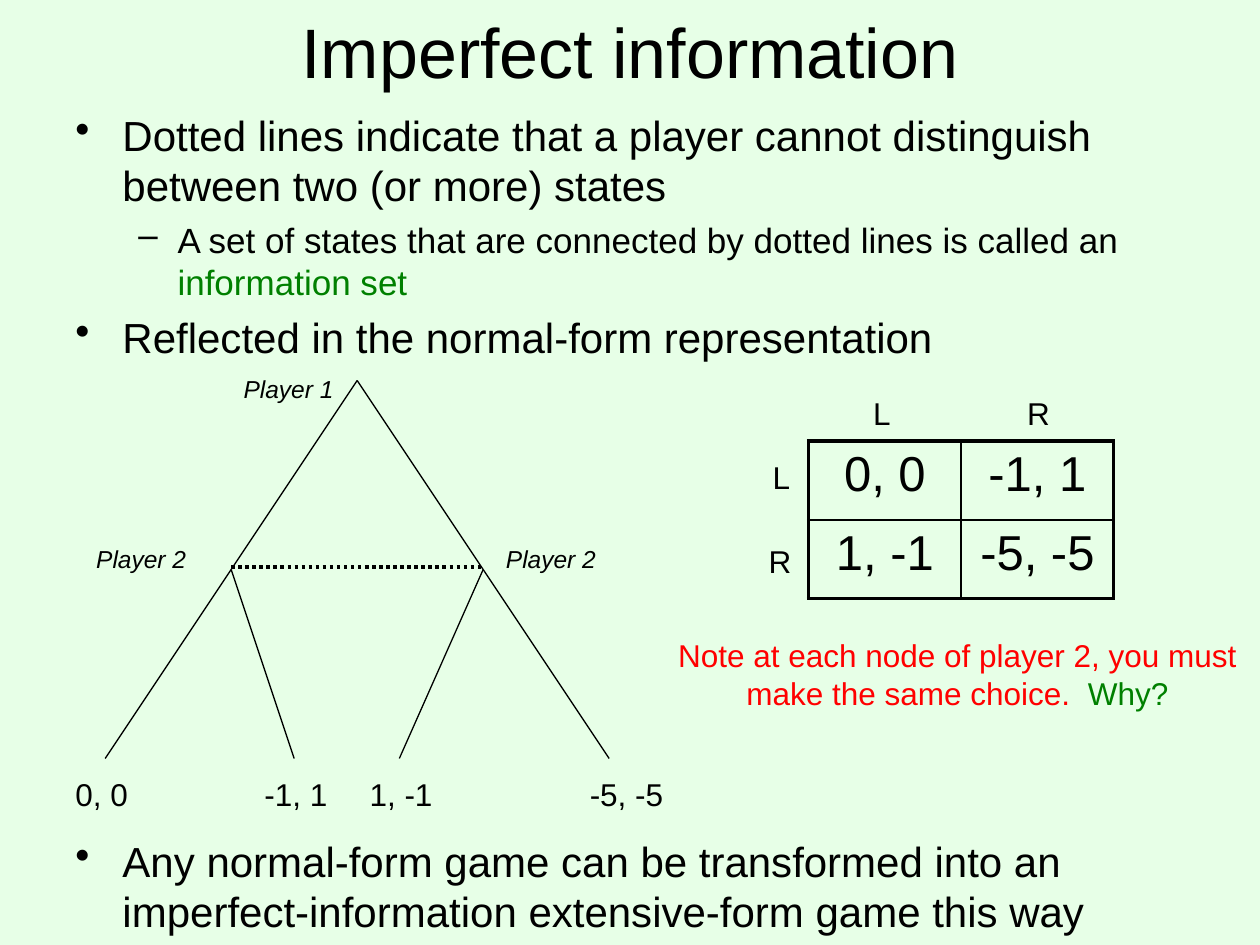
from typing import NamedTuple

from lxml import etree
from pptx import Presentation
from pptx.dml.color import RGBColor
from pptx.enum.dml import MSO_LINE
from pptx.enum.shapes import MSO_CONNECTOR
from pptx.enum.text import MSO_ANCHOR, PP_ALIGN
from pptx.oxml.ns import qn
from pptx.util import Cm, Pt

STRAIGHT = MSO_CONNECTOR.STRAIGHT
DOTTED = MSO_LINE.ROUND_DOT
LEFT, CENTER = PP_ALIGN.LEFT, PP_ALIGN.CENTER
MIDDLE = MSO_ANCHOR.MIDDLE
FONT = "Arial"
COLORS = {"background": "E7FFE7", "black": "000000", "green": "008000", "red": "FF0000"}


class Run(NamedTuple):
    text: str
    color: str = "black"


class Box(NamedTuple):
    """Position and size in centimetres."""
    left: float
    top: float
    width: float
    height: float


class Label(NamedTuple):
    box: Box
    lines: list
    size: int = 18
    italic: bool = False
    centered: bool = False


class Level(NamedTuple):
    """Bullet character, text size, and indents in centimetres."""
    bullet: str
    size: int
    margin: float
    hanging: float


class Bullet(NamedTuple):
    level: Level
    runs: list


class Edge(NamedTuple):
    start: tuple
    end: tuple
    width: float = 0.75
    dash: object = None


MAIN = Level("•", 24, 0.95, 0.95)
SUB = Level("–", 20, 2.06, 0.79)

BULLET_BOXES = [
    (Box(1.27, 2.08, 23.3, 3.6), [
        Bullet(MAIN, [Run("Dotted lines indicate that a player cannot distinguish "
                          "between two (or more) states")]),
        Bullet(SUB, [Run("A set of states that are connected by dotted lines is called an "),
                     Run("information set", "green")]),
        Bullet(MAIN, [Run("Reflected in the normal-form representation")]),
    ]),
    (Box(1.27, 16.72, 23.06, 2.33), [
        Bullet(MAIN, [Run("Any normal-form game can be transformed into an "
                          "imperfect-information extensive-form game this way")]),
    ]),
]

ROOT = (7.2, 7.67)
LEFT_NODE, RIGHT_NODE = (4.66, 11.48), (9.74, 11.48)
LEAF_TOP = 15.29
TREE = {
    ROOT: [LEFT_NODE, RIGHT_NODE],
    LEFT_NODE: [(2.12, LEAF_TOP), (5.93, LEAF_TOP)],
    RIGHT_NODE: [(8.05, LEAF_TOP), (12.28, LEAF_TOP)],
}
INFORMATION_SET = Edge((4.66, 11.43), (9.74, 11.43), 2, DOTTED)

PAYOFFS = [["0, 0", "-1, 1"], ["1, -1", "-5, -5"]]
PAYOFF_BOX = Box(16.3, 8.89, 6.15, 3.18)
LEAF_LABEL_LEFTS = [1.27, 5.08, 7.2, 11.64]
PLAYERS = [("Player 1", 4.66, 7.42), ("Player 2", 1.69, 10.84), ("Player 2", 9.95, 10.84)]
ACTIONS = [("L", 17.35, 7.82, 0.86), ("R", 20.45, 7.82, 0.97),
           ("L", 15.32, 9.1, 0.86), ("R", 15.24, 10.8, 0.97)]

LABELS = [
    *(Label(Box(left, top, 2.54, 0.84), [[Run(text)]], 14, italic=True)
      for text, left, top in PLAYERS),
    *(Label(Box(left, 15.49, 2.54, 1.02), [[Run(text)]])
      for text, left in zip(sum(PAYOFFS, []), LEAF_LABEL_LEFTS)),
    *(Label(Box(left, top, width, 1.02), [[Run(text)]], centered=True)
      for text, left, top, width in ACTIONS),
    Label(Box(13.35, 12.7, 11.9, 1.8),
          [[Run("Note at each node of player 2, you must", "red")],
           [Run("make the same choice.  ", "red"), Run("Why?", "green")]], centered=True),
]


def rgb(name: str) -> RGBColor:
    return RGBColor.from_string(COLORS[name])


def write_paragraph(paragraph, runs: list, size: int, align=LEFT, italic: bool = False) -> None:
    paragraph.alignment = align
    paragraph.font.name = FONT
    paragraph.font.size = Pt(size)
    paragraph.font.italic = italic
    for item in runs:
        run = paragraph.add_run()
        run.text = item.text
        run.font.color.rgb = rgb(item.color)


def add_paragraphs(frame, count: int) -> list:
    return [frame.paragraphs[0], *(frame.add_paragraph() for _ in range(count - 1))]


def add_text_frame(slide, box: Box, wrap: bool):
    frame = slide.shapes.add_textbox(*map(Cm, box)).text_frame
    frame.word_wrap = wrap
    return frame


def add_label(slide, label: Label) -> None:
    frame = add_text_frame(slide, label.box, not label.centered)
    align = CENTER if label.centered else LEFT
    for paragraph, runs in zip(add_paragraphs(frame, len(label.lines)), label.lines):
        write_paragraph(paragraph, runs, label.size, align, label.italic)


def add_bullets(slide, box: Box, bullets: list) -> None:
    frame = add_text_frame(slide, box, True)
    for paragraph, (level, runs) in zip(add_paragraphs(frame, len(bullets)), bullets):
        write_paragraph(paragraph, runs, level.size)
        paragraph.space_before = Pt(round(0.23 * level.size, 1))
        properties = paragraph._p.get_or_add_pPr()
        properties.set("marL", str(Cm(level.margin)))
        properties.set("indent", str(-Cm(level.hanging)))
        bullet = etree.Element(qn("a:buChar"), char=level.bullet)
        default_run = properties.find(qn("a:defRPr"))
        default_run.addprevious(bullet)


def add_edge(slide, edge: Edge) -> None:
    connector = slide.shapes.add_connector(STRAIGHT, *map(Cm, edge.start + edge.end))
    connector.line.color.rgb = rgb("black")
    connector.line.width = Pt(edge.width)
    if edge.dash is not None:
        connector.line.dash_style = edge.dash
    etree.SubElement(connector._element.spPr, qn("a:effectLst"))


def set_borders(cell, widths: dict) -> None:
    properties = cell._tc.get_or_add_tcPr()
    for side, width in widths.items():
        line = etree.SubElement(properties, qn(f"a:ln{side}"), w=str(Pt(width)))
        fill = etree.SubElement(line, qn("a:solidFill"))
        etree.SubElement(fill, qn("a:srgbClr"), val=COLORS["black"])


def add_payoff_table(slide, box: Box, payoffs: list) -> None:
    """Draw the payoffs with a thick outer frame and thin inner lines."""
    rows, columns = len(payoffs), len(payoffs[0])
    table = slide.shapes.add_table(rows, columns, *map(Cm, box)).table
    table.first_row = table.horz_banding = False
    thick, thin = 2.25, 1
    for row, values in enumerate(payoffs):
        for column, value in enumerate(values):
            cell = table.cell(row, column)
            outer = {"L": column == 0, "R": column == columns - 1,
                     "T": row == 0, "B": row == rows - 1}
            set_borders(cell, {side: thick if edge else thin for side, edge in outer.items()})
            cell.fill.background()
            write_paragraph(cell.text_frame.paragraphs[0], [Run(value)], 28, CENTER)


def add_title(slide, box: Box, text: str) -> None:
    title = slide.shapes.title
    title.left, title.top, title.width, title.height = map(Cm, box)
    title.text_frame.vertical_anchor = MIDDLE
    write_paragraph(title.text_frame.paragraphs[0], [Run(text)], 40, CENTER)


def main() -> None:
    presentation = Presentation()
    presentation.slide_width, presentation.slide_height = Cm(25.4), Cm(19.05)
    slide = presentation.slides.add_slide(presentation.slide_layouts[5])
    slide.background.fill.solid()
    slide.background.fill.fore_color.rgb = rgb("background")

    add_title(slide, Box(1.27, -0.25, 22.86, 2.54), "Imperfect information")
    for box, bullets in BULLET_BOXES:
        add_bullets(slide, box, bullets)
    for parent, children in TREE.items():
        for child in children:
            add_edge(slide, Edge(parent, child))
    add_edge(slide, INFORMATION_SET)
    add_payoff_table(slide, PAYOFF_BOX, PAYOFFS)
    for label in LABELS:
        add_label(slide, label)
    presentation.save("out.pptx")


if __name__ == "__main__":
    main()
